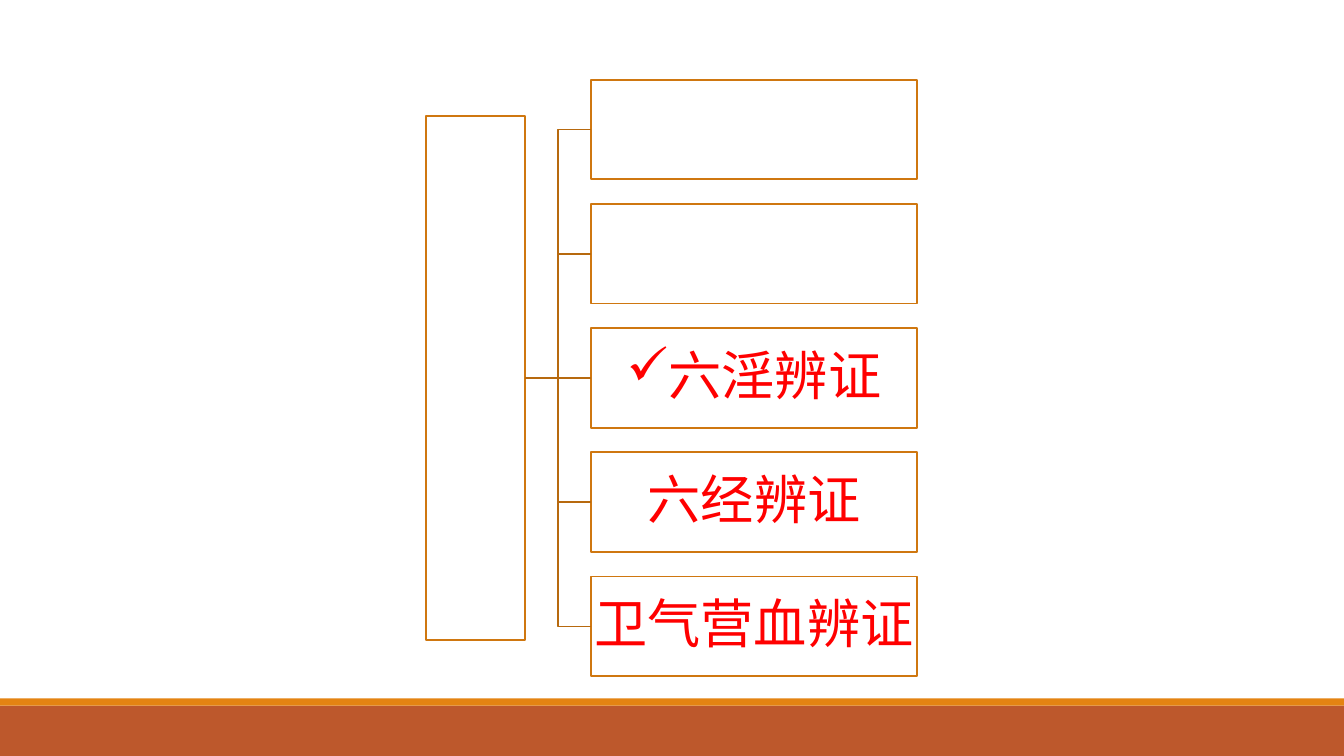
from lxml.etree import SubElement
from pptx import Presentation
from pptx.dml.color import RGBColor
from pptx.enum.shapes import MSO_CONNECTOR as CONN, MSO_SHAPE as SHAPE
from pptx.enum.text import MSO_ANCHOR as ANCHOR, PP_ALIGN as ALIGN
from pptx.oxml.ns import qn
from pptx.util import Cm, Pt

WHITE = RGBColor(0xFF, 0xFF, 0xFF)
RED = RGBColor(0xFF, 0x00, 0x00)
RUST = RGBColor(0xBD, 0x58, 0x2C)
ORANGE = RGBColor(0xE4, 0x83, 0x12)
BORDER = RGBColor(0xCF, 0x77, 0x10)
BRANCH_LINE = RGBColor(0xB7, 0x69, 0x0E)

METHODS = ["", "", "六淫辨证", "六经辨证", "卫气营血辨证"]
CHECKED = "六淫辨证"


def add_box(s, left, top, width, height, fill, border=None):
    """Add a flat rectangle, measured in centimetres."""
    box = s.shapes.add_shape(SHAPE.RECTANGLE, Cm(left), Cm(top), Cm(width), Cm(height))
    box.shadow.inherit = False
    box.fill.solid()
    box.fill.fore_color.rgb = fill
    if border is None:
        box.line.fill.background()
    else:
        box.line.color.rgb = border
        box.line.width = Pt(1.25)
    return box


def write_label(box, text, checked):
    """Write a centred red label, with a check mark bullet if checked."""
    tf = box.text_frame
    tf.word_wrap = True
    tf.vertical_anchor = ANCHOR.MIDDLE
    tf.margin_left = tf.margin_right = tf.margin_top = tf.margin_bottom = Cm(0.05)
    p = tf.paragraphs[0]
    p.text = text
    p.alignment = ALIGN.CENTER
    p.line_spacing = 0.9
    p.font.name = "Calibri"
    p.font.size = Pt(38)
    p.font.color.rgb = RED
    if checked:
        pPr = p._p.get_or_add_pPr()
        pPr.set("marL", "0")
        pPr.set("indent", "0")
        bullet = pPr.makeelement(qn("a:buChar"), {"char": "✓"})
        pPr.find(qn("a:defRPr")).addprevious(bullet)


def join(s, root, branch, kind):
    """Connect the root's right side to the branch's left side."""
    line = s.shapes.add_connector(kind, 0, 0, 0, 0)
    line.begin_connect(root, 3)
    line.end_connect(branch, 1)
    line.line.color.rgb = BRANCH_LINE
    line.line.width = Pt(1.25)
    SubElement(line._element.spPr, qn("a:effectLst"))


def add_tree(s, left, top, width, height):
    """Draw the root bar and its evenly spaced branches within the given box."""
    thick, gap, root_height = 2.51, 1.65, 13.21
    pitch = (height - thick) / (len(METHODS) - 1)
    root = add_box(s, left, top + (height - root_height) / 2, thick, root_height, WHITE, BORDER)
    for i, method in enumerate(METHODS):
        branch = add_box(s, left + thick + gap, top + i * pitch,
                         width - thick - gap, thick, WHITE, BORDER)
        if method:
            write_label(branch, method, method == CHECKED)
        middle = i == len(METHODS) // 2
        join(s, root, branch, CONN.STRAIGHT if middle else CONN.ELBOW)


def add_footer(s, left, top, width, height):
    """Draw the rust band with an orange stripe along its top."""
    stripe = 0.18
    add_box(s, left, top + stripe, width, height - stripe, RUST)
    add_box(s, left, top, width, stripe, ORANGE)


def main():
    """Build and save the slide."""
    prs = Presentation()
    prs.slide_width, prs.slide_height = Cm(33.87), Cm(19.05)
    s = prs.slides.add_slide(prs.slide_layouts[6])
    add_footer(s, 0, 17.6, 33.87, 1.45)
    add_tree(s, 10.73, 2.01, 12.39, 15.03)
    prs.save("out.pptx")


if __name__ == "__main__":
    main()
